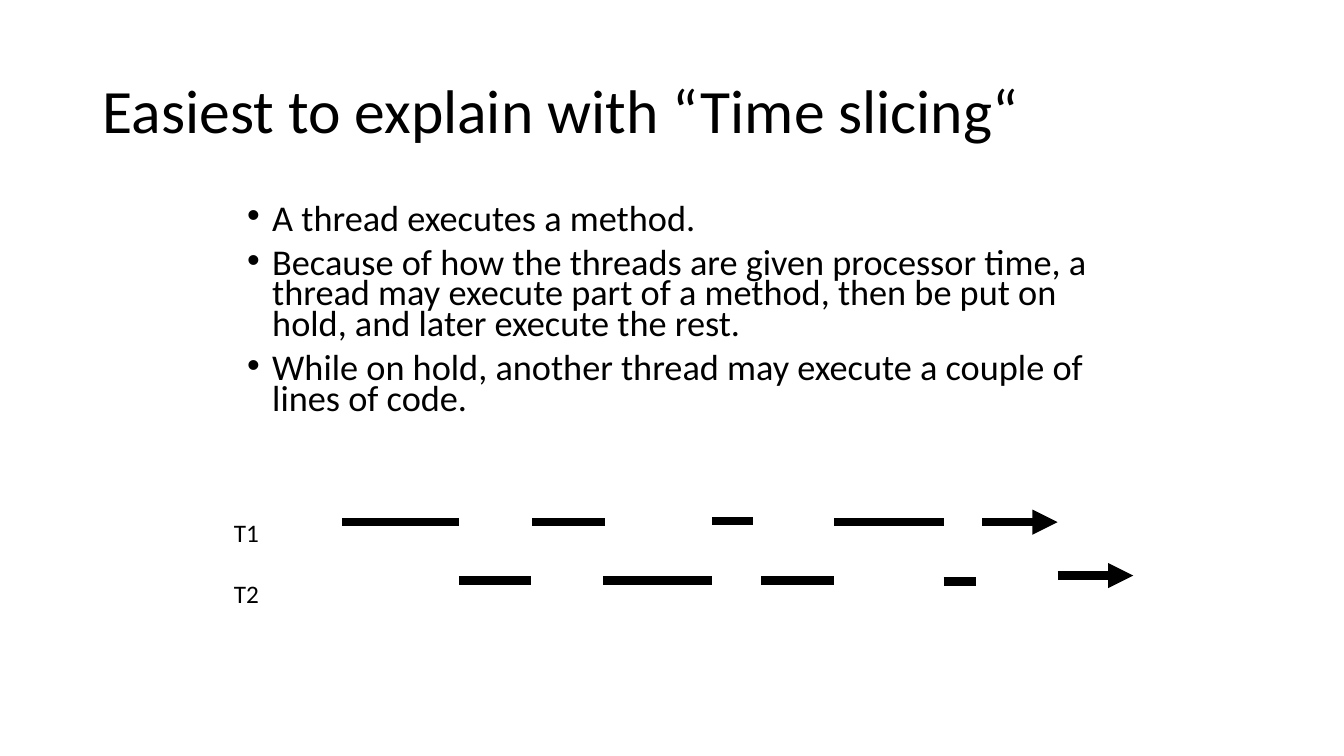
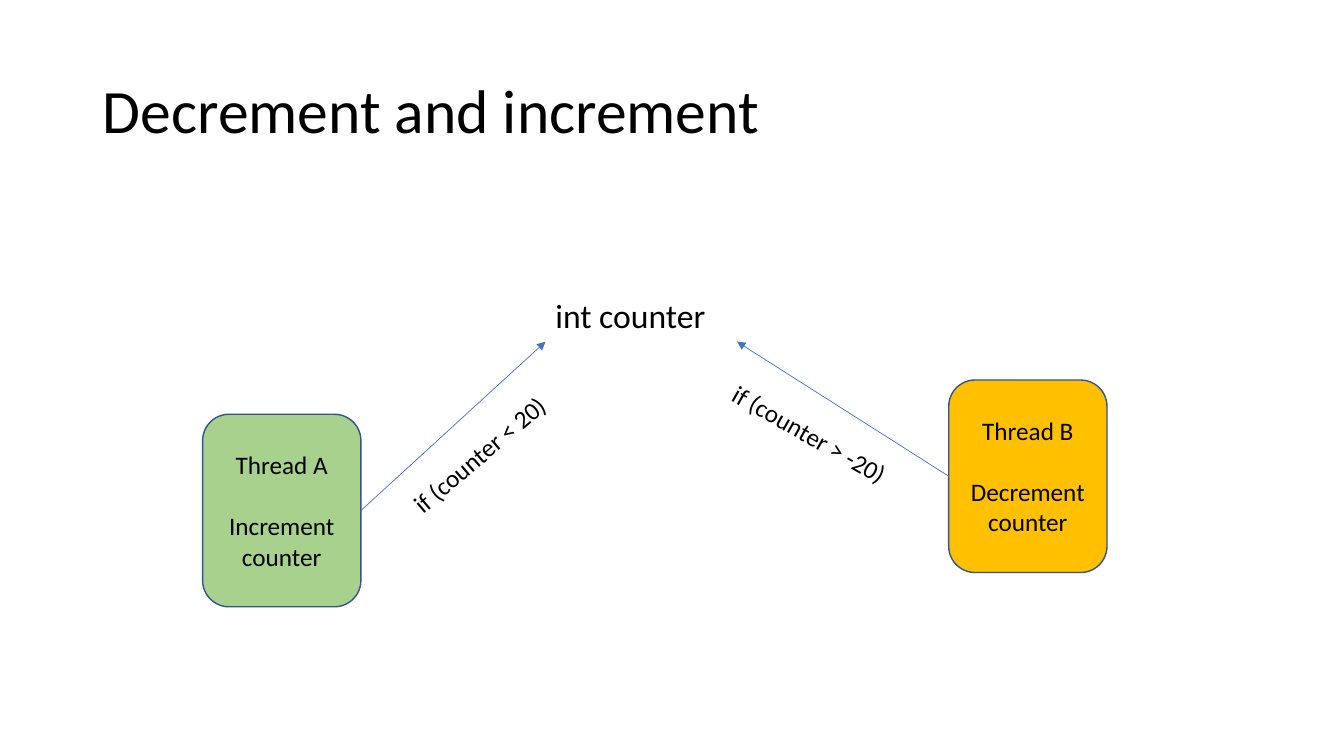
from dataclasses import dataclass

from pptx import Presentation
from pptx.dml.color import RGBColor
from pptx.enum.shapes import MSO_CONNECTOR, MSO_SHAPE
from pptx.enum.text import MSO_ANCHOR, MSO_AUTO_SIZE, PP_ALIGN
from pptx.oxml.ns import qn
from pptx.util import Pt
from lxml import etree

STRAIGHT = MSO_CONNECTOR.STRAIGHT
ROUNDED = MSO_SHAPE.ROUNDED_RECTANGLE
MIDDLE, TOP = MSO_ANCHOR.MIDDLE, MSO_ANCHOR.TOP
LEFT, CENTER = PP_ALIGN.LEFT, PP_ALIGN.CENTER
FIXED, GROW = MSO_AUTO_SIZE.NONE, MSO_AUTO_SIZE.SHAPE_TO_FIT_TEXT

EMU_PER_PX = 9144  # 100 px to the inch
LEFT_SIDE, RIGHT_SIDE = 1, 3
TITLE_AND_BODY, TITLE_ONLY = 1, 5


@dataclass(frozen=True)
class Theme:
    font: str = "Calibri"
    ink: str = "000000"
    arrow: str = "4472C4"
    outline: str = "325491"
    increment: str = "A9D18E"
    decrement: str = "FFC000"
    title_size: float = 44
    body_size: float = 25.9
    name_size: float = 24
    label_size: float = 18
    label_gap: float = 22  # one label line
    slice_width: float = 6
    arrow_width: float = 0.5


def px(length):
    return round(length * EMU_PER_PX)


def color(code):
    return RGBColor.from_string(code)


class SlideBuilder:
    def __init__(self, theme):
        self.theme = theme
        self.deck = Presentation()
        self.deck.slide_width, self.deck.slide_height = px(1333), px(750)
        self.page = None

    def start(self, layout, title):
        self.page = self.deck.slides.add_slide(self.deck.slide_layouts[layout])
        frame = self.place(self.page.shapes.title, 92, 40, 1150, 145, MIDDLE)
        self.add_lines(frame, [title], self.theme.title_size, spacing=0.9)

    def place(self, holder, left, top, width, height, anchor):
        holder.left, holder.top = px(left), px(top)
        holder.width, holder.height = px(width), px(height)
        frame = holder.text_frame
        frame.auto_size = FIXED
        frame.vertical_anchor = anchor
        return frame

    def add_lines(self, frame, lines, size, align=LEFT, spacing=1.0, gap=0):
        for index, line in enumerate(lines):
            para = frame.add_paragraph() if index else frame.paragraphs[0]
            para.alignment = align
            para.line_spacing = spacing
            para.space_before = Pt(gap if index else 0)
            span = para.add_run()
            span.text = line
            span.font.name = self.theme.font
            span.font.size = Pt(size)
            span.font.color.rgb = color(self.theme.ink)

    def bullets(self, lines, left, top, width, height):
        frame = self.place(self.page.placeholders[1], left, top, width, height, TOP)
        self.add_lines(frame, lines, self.theme.body_size, spacing=0.7)
        for para in frame.paragraphs:
            para.space_before = Pt(10)
            properties = para._p.get_or_add_pPr()
            properties.set("marL", str(px(25)))
            properties.set("indent", str(px(-25)))
            etree.SubElement(properties, qn("a:buChar")).set("char", "•")

    def label(self, lines, left, top, width, height, size, angle=0):
        box = self.page.shapes.add_textbox(px(left), px(top), px(width), px(height))
        box.rotation = angle
        box.text_frame.word_wrap = False
        box.text_frame.auto_size = GROW
        self.add_lines(box.text_frame, lines, size, gap=self.theme.label_gap)

    def thread_box(self, lines, left, top, fill):
        box = self.page.shapes.add_shape(ROUNDED, px(left), px(top), px(157), px(191))
        box.shadow.inherit = False
        box.fill.solid()
        box.fill.fore_color.rgb = color(fill)
        box.line.color.rgb = color(self.theme.outline)
        box.line.width = Pt(1)
        box.text_frame.word_wrap = True
        box.text_frame.vertical_anchor = MIDDLE
        self.add_lines(box.text_frame, lines, self.theme.label_size, CENTER,
                       gap=self.theme.label_gap)
        return box

    def line(self, start, end, ink, width, arrow=False):
        line = self.page.shapes.add_connector(STRAIGHT, *map(px, start + end))
        line.line.color.rgb = color(ink)
        line.line.width = Pt(width)
        properties = line._element.spPr
        if arrow:
            head = etree.SubElement(properties.find(qn("a:ln")), qn("a:tailEnd"))
            head.set("type", "triangle")
        etree.SubElement(properties, qn("a:effectLst"))
        return line

    def time_slice(self, start, end, y, arrow=False):
        self.line((start, y), (end, y), self.theme.ink, self.theme.slice_width, arrow)

    def link(self, box, side, end):
        line = self.line((box.left / EMU_PER_PX, box.top / EMU_PER_PX), end,
                         self.theme.arrow, self.theme.arrow_width, arrow=True)
        line.begin_connect(box, side)


def time_slicing(builder):
    builder.start(TITLE_AND_BODY, "Easiest to explain with “Time slicing“")
    builder.bullets([
        "A thread executes a method.",
        "Because of how the threads are given processor time, a thread may execute "
        "part of a method, then be put on hold, and later execute the rest.",
        "While on hold, another thread may execute a couple of lines of code.",
    ], 235, 200, 862, 225)

    # Timelines: start, end and height of each slice, the last one an arrow
    first = [(339, 455, 518), (528, 600, 518), (706, 747, 517),
             (827, 936, 518), (974, 1049, 518)]
    second = [(455, 527, 576), (598, 706, 576), (755, 827, 576),
              (936, 968, 577), (1049, 1124, 571)]
    for slices in (first, second):
        for piece in slices:
            builder.time_slice(*piece, arrow=piece is slices[-1])
    builder.label(["T1", "T2"], 222, 508, 45, 101, builder.theme.label_size)


def shared_counter(builder):
    theme = builder.theme
    builder.start(TITLE_ONLY, "Decrement and increment")
    builder.label(["int counter"], 541, 288, 170, 50, theme.name_size)

    # Threads and their arrows to the counter
    thread_a = builder.thread_box(["Thread A", "Increment counter"], 201, 411,
                                  theme.increment)
    thread_b = builder.thread_box(["Thread B", "Decrement counter"], 941, 377,
                                  theme.decrement)
    builder.link(thread_a, RIGHT_SIDE, (541, 339))
    builder.link(thread_b, LEFT_SIDE, (731, 339))

    # Conditions along the arrows
    builder.label(["if (counter > -20)"], 708, 411, 192, 40, theme.label_size, 29.6)
    builder.label(["if (counter < 20)"], 384, 430, 184, 40, theme.label_size, 319.7)


def main():
    builder = SlideBuilder(Theme())
    time_slicing(builder)
    shared_counter(builder)
    builder.deck.save("out.pptx")


if __name__ == "__main__":
    main()
